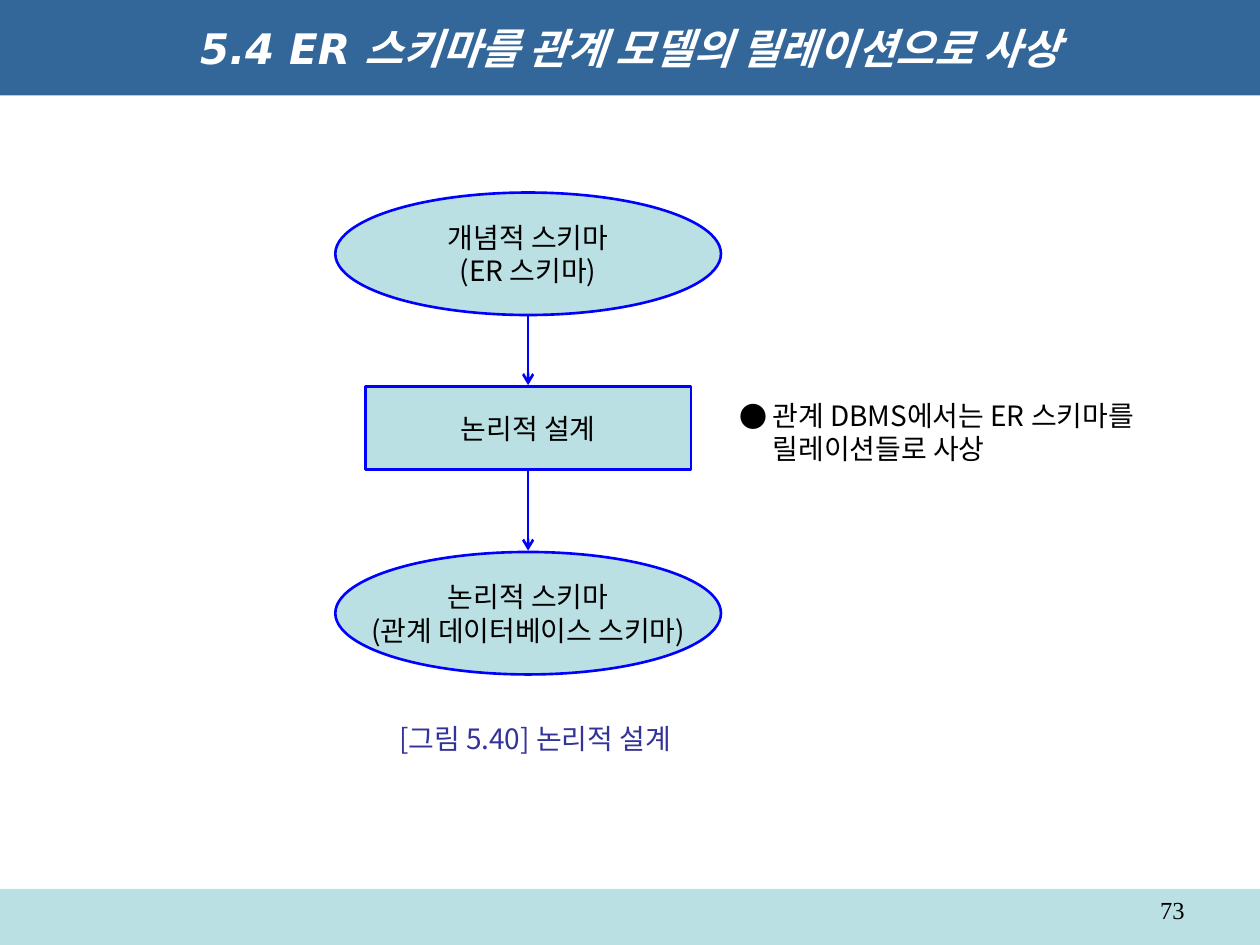
import pptx
import pptx.dml.color
import pptx.enum.shapes
import pptx.enum.text
import pptx.oxml.xmlchemy
import pptx.util

Pt = pptx.util.Pt
ALIGN = pptx.enum.text.PP_ALIGN
ANCHOR = pptx.enum.text.MSO_ANCHOR
SHAPES = pptx.enum.shapes.MSO_SHAPE

COLORS = {
    "band": "336699",
    "pale": "BBE0E3",
    "outline": "0000FF",
    "text": "000000",
    "title": "FFFFFF",
    "caption": "333399",
}
BODY_FONT = "Noto Sans CJK JP"
CAPTION_FONT = "Noto Sans CJK KR"


def rgb(name):
    return pptx.dml.color.RGBColor.from_string(COLORS[name])


def add_element(parent, tag, **attributes):
    element = pptx.oxml.xmlchemy.OxmlElement(tag)
    for key, value in attributes.items():
        element.set(key, value)
    parent.append(element)
    return element


def fill_shape(shape, fill, outline=None):
    shape.shadow.inherit = False
    shape.fill.solid()
    shape.fill.fore_color.rgb = rgb(fill)
    if outline:
        shape.line.color.rgb = rgb(outline)
        shape.line.width = Pt(1.5)
    else:
        shape.line.fill.background()


def write_lines(frame, lines, size=16, font=BODY_FONT, east_asian=None,
                color="text", align=ALIGN.LEFT, anchor=ANCHOR.MIDDLE,
                wrap=True, bold=False, italic=False):
    frame.word_wrap = wrap
    frame.vertical_anchor = anchor
    frame.margin_left = frame.margin_right = Pt(7.2)
    frame.margin_top = frame.margin_bottom = Pt(3.6)
    for index, line in enumerate(lines):
        paragraph = frame.paragraphs[0] if index == 0 else frame.add_paragraph()
        paragraph.alignment = align
        run = paragraph.add_run()
        run.text = line
        run.font.size = Pt(size)
        run.font.name = font
        run.font.bold = bold
        run.font.italic = italic
        run.font.color.rgb = rgb(color)
        add_element(run.font._element, "a:ea", typeface=east_asian or font)


def build_title(slide, left, top, width, height):
    title = slide.shapes.title
    title.left, title.top = Pt(left), Pt(top)
    title.width, title.height = Pt(width), Pt(height)
    title.fill.solid()
    title.fill.fore_color.rgb = rgb("band")
    write_lines(title.text_frame, ["5.4 ER 스키마를 관계 모델의 릴레이션으로 사상"],
                size=24, font="DejaVu Sans", east_asian=CAPTION_FONT,
                color="title", align=ALIGN.CENTER, bold=True, italic=True)


def build_footer(slide, left, top, width, height):
    band = slide.shapes.add_shape(
        SHAPES.RECTANGLE, Pt(left), Pt(top), Pt(width), Pt(height))
    fill_shape(band, "pale")
    number_width = 168
    number = slide.shapes.add_textbox(
        Pt(left + width - 36 - number_width), Pt(top), Pt(number_width), Pt(21))
    write_lines(number.text_frame, ["73"], size=14, font="Times New Roman",
                align=ALIGN.RIGHT, anchor=ANCHOR.TOP)


def add_arrow(slide, x, start, end):
    arrow = slide.shapes.add_connector(
        pptx.enum.shapes.MSO_CONNECTOR.STRAIGHT, Pt(x), Pt(start), Pt(x), Pt(end))
    arrow.line.color.rgb = rgb("outline")
    arrow.line.width = Pt(1.5)
    add_element(arrow.line._get_or_add_ln(), "a:tailEnd", type="arrow")
    add_element(arrow._element.spPr, "a:effectLst")


def build_flow(slide, left, top, width, height):
    ellipse_height = 70
    step_width, step_height = 186, 47.5
    center = left + width / 2
    step_top = top + 110.8
    stages = [
        (SHAPES.OVAL, top, width, ellipse_height,
         ["개념적 스키마", "(ER 스키마)"]),
        (SHAPES.RECTANGLE, step_top, step_width, step_height,
         ["논리적 설계"]),
        (SHAPES.OVAL, top + height - ellipse_height, width, ellipse_height,
         ["논리적 스키마", "(관계 데이터베이스 스키마)"]),
    ]
    for kind, stage_top, stage_width, stage_height, lines in stages:
        stage = slide.shapes.add_shape(
            kind, Pt(center - stage_width / 2), Pt(stage_top),
            Pt(stage_width), Pt(stage_height))
        fill_shape(stage, "pale", "outline")
        write_lines(stage.text_frame, lines, align=ALIGN.CENTER, wrap=False)
    for upper, lower in zip(stages, stages[1:]):
        add_arrow(slide, center, upper[1] + upper[3], lower[1] - 0.7)


def build_note(slide, left, top, width, height):
    note = slide.shapes.add_textbox(Pt(left), Pt(top), Pt(width), Pt(height))
    write_lines(note.text_frame,
                ["관계 DBMS에서는 ER 스키마를", "릴레이션들로 사상"],
                anchor=ANCHOR.TOP)
    indent = Pt(19)
    for paragraph in note.text_frame.paragraphs:
        paragraph._p.get_or_add_pPr().set("marL", str(int(indent)))
    properties = note.text_frame.paragraphs[0]._p.get_or_add_pPr()
    properties.set("indent", str(-int(indent)))
    bullet_color = add_element(properties, "a:buClr")
    add_element(bullet_color, "a:srgbClr", val=COLORS["text"])
    add_element(properties, "a:buFont", typeface=BODY_FONT)
    add_element(properties, "a:buChar", char="●")


def build_caption(slide, left, top, width, height):
    caption = slide.shapes.add_textbox(Pt(left), Pt(top), Pt(width), Pt(height))
    write_lines(caption.text_frame, ["[그림 5.40] 논리적 설계"],
                font=CAPTION_FONT, color="caption")


def main():
    presentation = pptx.Presentation()
    presentation.slide_width = Pt(720)
    presentation.slide_height = Pt(540)
    slide = presentation.slides.add_slide(presentation.slide_layouts[5])
    build_footer(slide, 0, 508, 720, 32)
    build_title(slide, 0, 0, 720, 54.5)
    build_flow(slide, 191.6, 110, 220.4, 275.4)
    build_note(slide, 415.5, 224, 266.5, 46)
    build_caption(slide, 221, 408.5, 190, 26.5)
    presentation.save("out.pptx")


if __name__ == "__main__":
    main()
